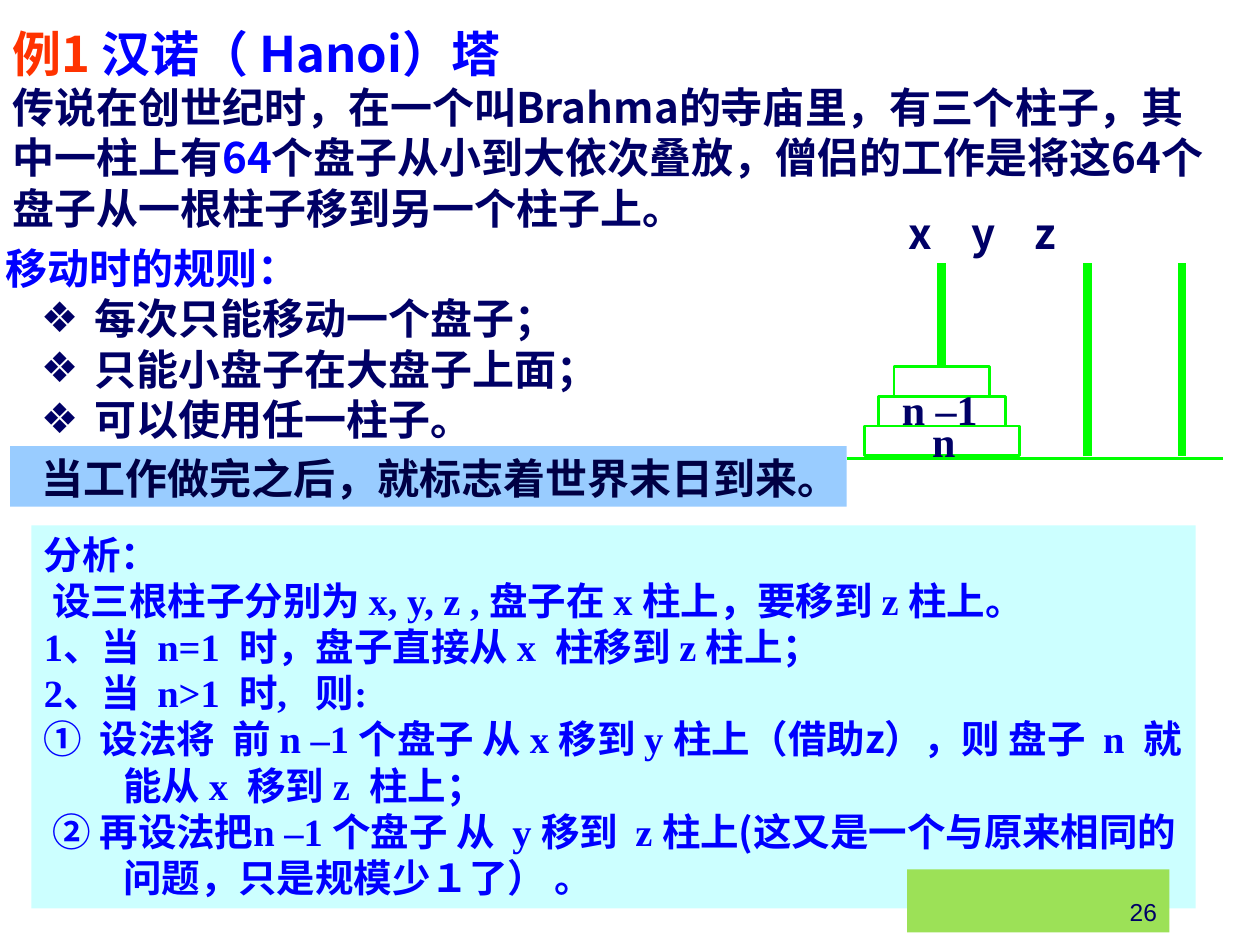
"""Build the Tower of Hanoi example slide."""
from lxml.etree import SubElement
from pptx import Presentation
from pptx.dml.color import RGBColor
from pptx.enum.shapes import MSO_CONNECTOR as Connector, MSO_SHAPE as Shape
from pptx.enum.text import MSO_ANCHOR as Anchor, MSO_AUTO_SIZE as AutoSize, PP_ALIGN as Align
from pptx.oxml.ns import qn
from pptx.util import Pt

SANS, SERIF, PLAIN = "Noto Sans CJK SC", "Times New Roman", "Arial"
RED = RGBColor(0xFF, 0x33, 0x00)
BLUE = RGBColor(0x00, 0x00, 0xFF)
NAVY = RGBColor(0x00, 0x00, 0x66)
DARK = RGBColor(0x00, 0x00, 0x44)
GREEN = RGBColor(0x00, 0xFF, 0x00)
LIME = RGBColor(0x9C, 0xE1, 0x57)
SKY = RGBColor(0x99, 0xCC, 0xFF)
PALE = RGBColor(0xCC, 0xFF, 0xFF)

TITLE = [("例1 ", {"color": RED}), ("汉诺（ Hanoi）塔", {})]
STORY = [
    ("传说在创世纪时，在一个叫Brahma的寺庙里，有三个柱子，其中一柱上有", {}),
    ("64", {"color": BLUE}),
    ("个盘子从小到大依次叠放，僧侣的工作是将这64个盘子从一根柱子移到另一个柱子上。", {}),
]
RULES_HEADING = "移动时的规则："
RULES = ["每次只能移动一个盘子；", "只能小盘子在大盘子上面；", "可以使用任一柱子。"]
ENDING = "当工作做完之后，就标志着世界末日到来。"
ANALYSIS = [
    [("分析：", {})],
    [(" 设三根柱子分别为 x, y, z , 盘子在 x 柱上，要移到 z 柱上。", {})],
    [("1、当  n=1  时，盘子直接从 x  柱移到 z 柱上；", {})],
    [("2、当  n>1  时,   则:", {})],
    [("①  设法将  前 n –1 个盘子 从 x 移到 y 柱上", {}), ("（借助z）", {"font": SANS}),
     ("，则 盘子  n  就能从 x  移到 z  柱上；", {})],
    [(" ② 再设法把n –1 个盘子 从  y 移到  z 柱上", {}),
     ("(这又是一个与原来相同的问题，只是规模少１了）", {"font": SANS}), (" 。", {})],
]
PEG_LABELS, PEG_TABS = "x\ty\tz", (47, 77)
DISK_LABELS = [("n", (525.6, 234, 27.4, 36)), ("n –1", (508.3, 216, 57.6, 36))]
DISK_WIDTHS = (54.7, 72.7, 88.6)
DISK_CENTER, DISK_TOP, DISK_HEIGHT = 538.2, 209.5, 17
PEG_TOP, PEG_BOTTOM, FREE_PEGS = 150.5, 260.6, (621.4, 675.4)
GROUND = (483.8, 262.1, 699.1, 262.1)
PAGE_NUMBER = "26"


def prepare(box, area, insets=(7.2, 3.6), anchor=Anchor.TOP, wrap=True):
    box.left, box.top, box.width, box.height = map(Pt, area)
    frame = box.text_frame
    frame.auto_size, frame.word_wrap = AutoSize.NONE, wrap
    frame.vertical_anchor = anchor
    frame.margin_left = frame.margin_right = Pt(insets[0])
    frame.margin_top, frame.margin_bottom = Pt(insets[1]), Pt(3.6)
    return frame


def write(frame, content, size=24, font=SANS, color=NAVY, bold=True, align=Align.LEFT,
          margin=0, indent=0, bullet=None, tabs=(), first=True):
    """Write one paragraph made of a string or of (text, overrides) pairs."""
    para = frame.paragraphs[0] if first else frame.add_paragraph()
    para.alignment, para.line_spacing = align, Pt(round(size * 1.195, 1))
    para.space_before = para.space_after = Pt(0)
    props = para._p.get_or_add_pPr()
    props.set("marL", str(Pt(margin)))
    props.set("indent", str(Pt(indent)))
    if bullet:
        tint = SubElement(props, qn("a:buClr"))
        SubElement(tint, qn("a:srgbClr"), val=str(color))
        SubElement(props, qn("a:buChar"), char=bullet)
    else:
        SubElement(props, qn("a:buNone"))
    if tabs:
        stops = SubElement(props, qn("a:tabLst"))
        for stop in tabs:
            SubElement(stops, qn("a:tab"), pos=str(Pt(stop)), algn="l")
    for text, changes in [(content, {})] if isinstance(content, str) else content:
        span = para.add_run()
        span.text = text
        span.font.size, span.font.bold = Pt(size), bold
        span.font.name = changes.get("font", font)
        span.font.color.rgb = changes.get("color", color)
        SubElement(span._r.get_or_add_rPr(), qn("a:ea"), typeface=SANS)


def add_rectangle(page, area, fill=None, line=None):
    box = page.shapes.add_shape(Shape.RECTANGLE, *map(Pt, area))
    box.shadow.inherit = False
    if fill is None:
        box.fill.background()
    else:
        box.fill.solid()
        box.fill.fore_color.rgb = fill
    if line is None:
        box.line.fill.background()
    else:
        box.line.color.rgb, box.line.width = line, Pt(1.5)
    return box


def add_label(page, area, content, insets=(7.2, 3.6), wrap=False, **style):
    box = page.shapes.add_textbox(*map(Pt, area))
    write(prepare(box, area, insets, wrap=wrap), content, **style)


def add_line(page, ends, width):
    line = page.shapes.add_connector(Connector.STRAIGHT, *map(Pt, ends))
    line.line.color.rgb, line.line.width = GREEN, Pt(width)
    SubElement(line._element.spPr, qn("a:effectLst"))
    return line


def add_tower(page):
    disks = []
    for row, width in enumerate(DISK_WIDTHS):
        area = (DISK_CENTER - width / 2, DISK_TOP + row * DISK_HEIGHT, width, DISK_HEIGHT)
        disks.append(add_rectangle(page, area, line=GREEN))
    peg = add_line(page, (DISK_CENTER, DISK_TOP, DISK_CENTER, PEG_TOP), 5)
    peg.begin_connect(disks[0], 0)
    for x in FREE_PEGS:
        add_line(page, (x, PEG_BOTTOM, x, PEG_TOP), 5)
    add_line(page, GROUND, 2)
    add_label(page, (511.9, 113, 187.9, 36), PEG_LABELS, insets=(7.2, 5.6), tabs=PEG_TABS)
    for text, area in DISK_LABELS:
        add_label(page, area, text, font=SERIF)


def main():
    deck = Presentation()
    deck.slide_width, deck.slide_height = Pt(720), Pt(540)
    page = deck.slides.add_slide(deck.slide_layouts[1])

    title = prepare(page.shapes.title, (0, 7.9, 702, 41), (7.2, 5.6))
    write(title, TITLE, size=28, color=BLUE)
    add_label(page, (0, 41.2, 702, 94.2), STORY, insets=(7.2, 5.6), wrap=True)

    analysis = add_rectangle(page, (18, 300.2, 665.3, 218.9), fill=PALE)
    frame = prepare(analysis, (18, 300.2, 665.3, 218.9))
    for row, content in enumerate(ANALYSIS):
        write(frame, content, size=22, font=SERIF, color=BLUE,
              margin=45.4, indent=-45.4, first=row == 0)

    add_tower(page)

    rules = prepare(page.placeholders[1], (0, 133.9, 396, 121), (2.9, 4.9))
    write(rules, RULES_HEADING, color=BLUE)
    for rule in RULES:
        write(rules, rule, margin=51, indent=-30.5, bullet="❖", first=False)

    area = (5.8, 254.9, 478.1, 34.6)
    ending = prepare(add_rectangle(page, area, fill=SKY), area, (2.9, 4))
    write(ending, ENDING, color=DARK, margin=36, indent=-21)

    area = (518.4, 496.8, 149.8, 36)
    number = prepare(add_rectangle(page, area, fill=LIME), area, anchor=Anchor.BOTTOM)
    write(number, PAGE_NUMBER, size=14, font=PLAIN, bold=False, align=Align.RIGHT)
    deck.save("out.pptx")


if __name__ == "__main__":
    main()
